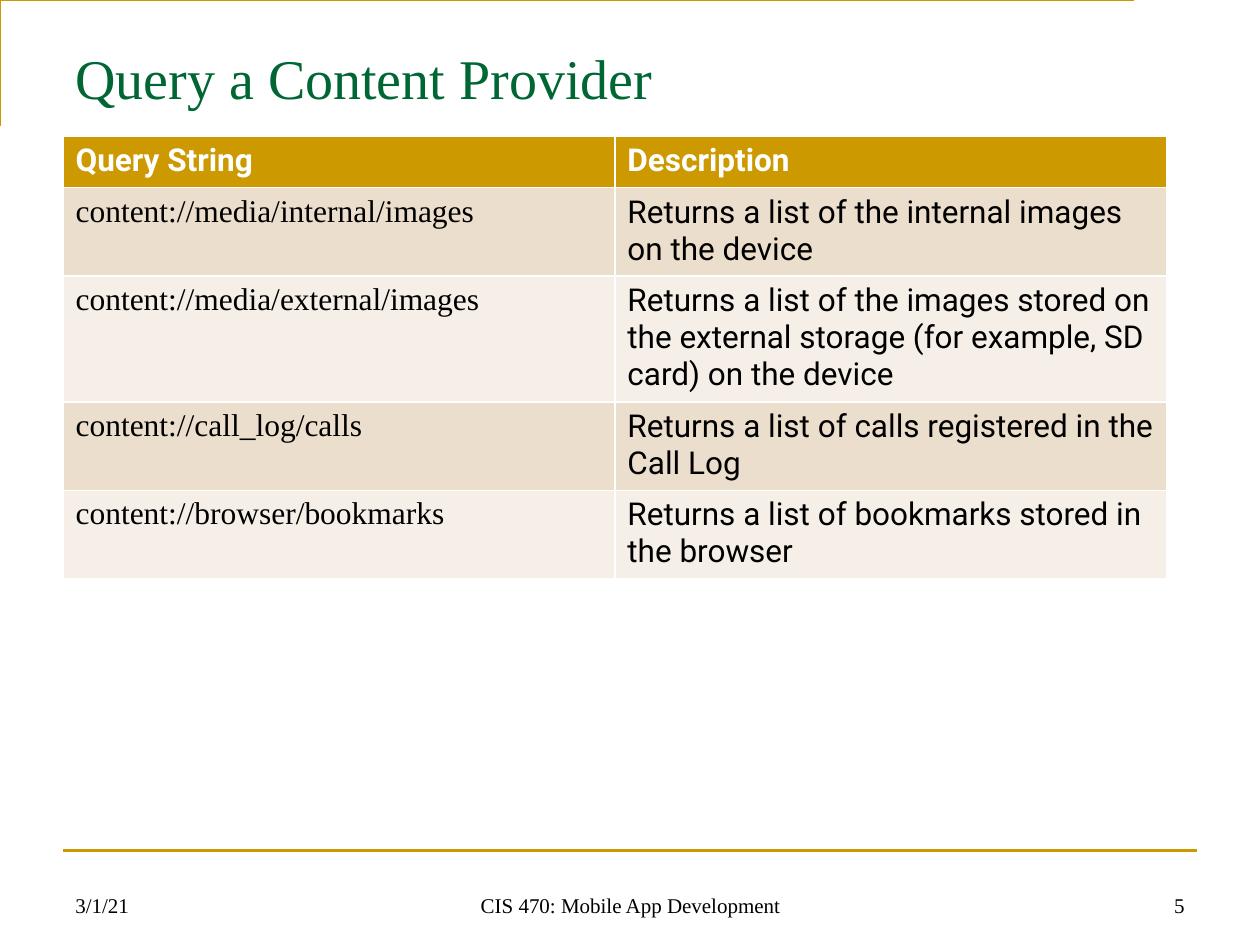
from pptx import Presentation, util as u
from pptx.dml.color import RGBColor
from pptx.enum import shapes, text
from lxml import etree

# Content
TITLE = "Query a Content Provider"
HEADER = ("Query String", "Description")
QUERIES = [
    ("content://media/internal/images",
     "Returns a list of the internal images on the device"),
    ("content://media/external/images",
     "Returns a list of the images stored on the external storage "
     "(for example, SD card) on the device"),
    ("content://call_log/calls",
     "Returns a list of calls registered in the Call Log"),
    ("content://browser/bookmarks",
     "Returns a list of bookmarks stored in the browser"),
]
L, C, R = text.PP_ALIGN.LEFT, text.PP_ALIGN.CENTER, text.PP_ALIGN.RIGHT
FOOTER = [  # text, left, width, alignment
    ("3/1/21", 0.5, 2.33, L),
    ("CIS 470: Mobile App Development", 3.42, 3.17, C),
    ("5", 7.17, 2.33, R),
]

# Style and layout
COLORS = {"gold": "CC9900", "green": "006633", "black": "000000",
          "white": "FFFFFF", "band_dark": "ECDECC", "band_light": "F6EFE7"}
SERIF, SANS = "Times New Roman", "Roboto"
W, H = 10, 7.5
MARGIN = W / 20
CONTENT_W = W - 2 * MARGIN
TABLE_TOP, COL_W, ROW_H = 1.08, 4.38, 0.41
CORNER_X, CORNER_TOP, CORNER_BOTTOM = 0.42, 0.25, 0.92
RULE_Y = 0.9 * H
FOOTER_TOP, FOOTER_H = 6.83, 0.5


def rgb(name):
    return RGBColor.from_string(COLORS[name])


def style(p, size, font, color, bold=False):
    p.font.size, p.font.name, p.font.bold = u.Pt(size), font, bold
    p.font.color.rgb = rgb(color)


def gold_line(s):
    s.line.color.rgb = rgb("gold")
    s.line.width = u.Pt(1.5)


def add_text(words, box, size, color, anchor, align):
    tf = slide.shapes.add_textbox(*map(u.Inches, box)).text_frame
    tf.word_wrap, tf.vertical_anchor = True, anchor
    p = tf.paragraphs[0]
    p.text, p.alignment = words, align
    style(p, size, SERIF, color)


prs = Presentation()
prs.slide_width, prs.slide_height = u.Inches(W), u.Inches(H)
slide = prs.slides.add_slide(prs.slide_layouts[6])

# Corner line around the title
builder = slide.shapes.build_freeform(CORNER_X, CORNER_BOTTOM, scale=u.Inches(1))
builder.add_line_segments([(CORNER_X, CORNER_TOP),
                           (CORNER_X + CONTENT_W, CORNER_TOP)], close=False)
corner = builder.convert_to_shape()
corner.shadow.inherit = False
corner.fill.background()
gold_line(corner)

# Rule above the footer
rule = slide.shapes.add_connector(
    shapes.MSO_CONNECTOR.STRAIGHT,
    *map(u.Inches, (MARGIN, RULE_Y, W - MARGIN, RULE_Y)))
gold_line(rule)
sp_pr = rule.line._get_or_add_ln().getparent()
etree.SubElement(
    sp_pr, "{http://schemas.openxmlformats.org/drawingml/2006/main}effectLst")

# Footer and title
for words, left, width, align in FOOTER:
    add_text(words, (left, FOOTER_TOP, width, FOOTER_H), 12, "black",
             text.MSO_ANCHOR.BOTTOM, align)
add_text(TITLE, (MARGIN, 0.3, CONTENT_W, 0.62), 32, "green",
         text.MSO_ANCHOR.MIDDLE, L)

# Table of queries; white borders come from the default table style
rows = [HEADER] + QUERIES
table = slide.shapes.add_table(
    len(rows), len(HEADER),
    *map(u.Inches, (MARGIN, TABLE_TOP, COL_W * len(HEADER),
                    ROW_H * len(rows)))).table
for i, row in enumerate(rows):
    head = i == 0
    fill = "gold" if head else ("band_light", "band_dark")[i % 2]
    for j, words in enumerate(row):
        cell = table.cell(i, j)
        cell.fill.solid()
        cell.fill.fore_color.rgb = rgb(fill)
        p = cell.text_frame.paragraphs[0]
        p.text = words
        style(p, 18, SANS if head or j else SERIF,
              "white" if head else "black", head)

prs.save("out.pptx")
